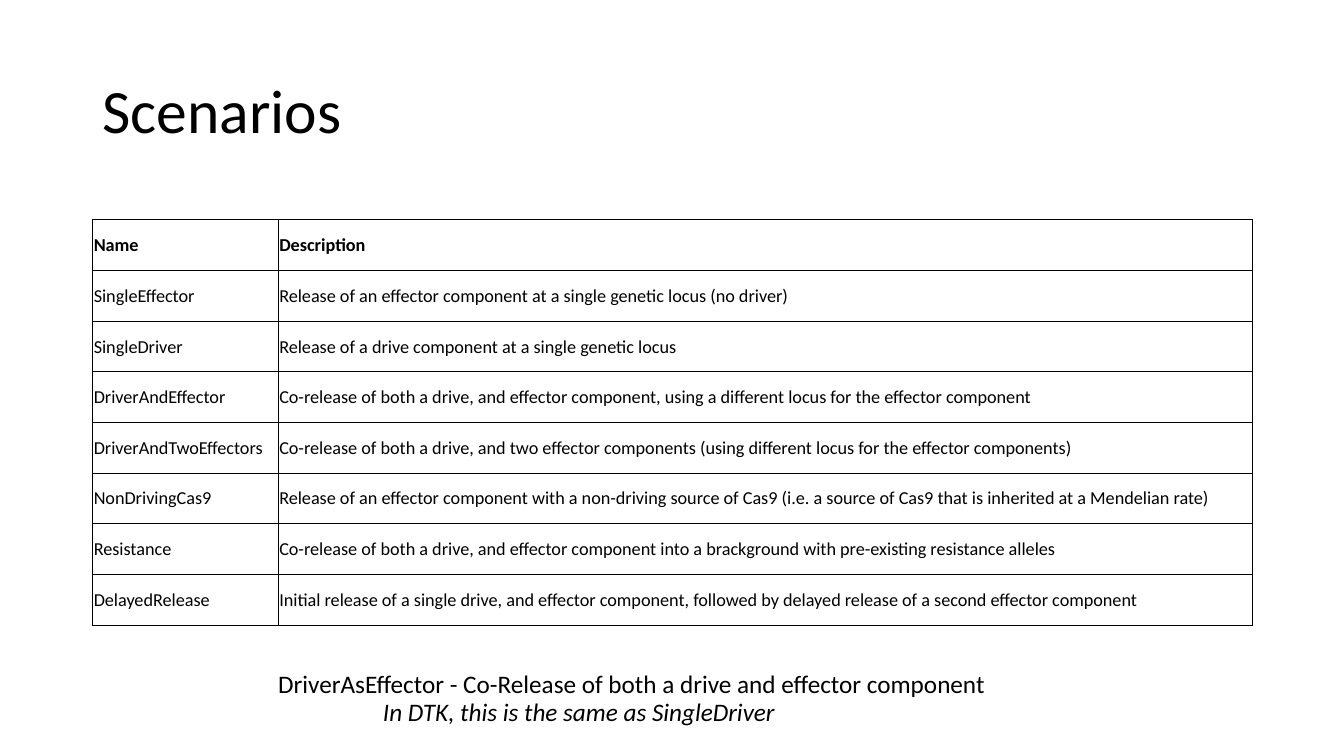
from lxml.etree import SubElement
from pptx import Presentation
from pptx.dml.color import RGBColor
from pptx.enum.text import MSO_ANCHOR, MSO_AUTO_SIZE
from pptx.oxml.ns import qn
from pptx.util import Inches, Pt

TITLE = "Scenarios"
SCENARIOS = [
    ("Name", "Description"),
    ("SingleEffector", "Release of an effector component at a single genetic locus (no driver)"),
    ("SingleDriver", "Release of a drive component at a single genetic locus"),
    ("DriverAndEffector", "Co-release of both a drive, and effector component, "
     "using a different locus for the effector component"),
    ("DriverAndTwoEffectors", "Co-release of both a drive, and two effector components "
     "(using different locus for the effector components)"),
    ("NonDrivingCas9", "Release of an effector component with a non-driving source of Cas9 "
     "(i.e. a source of Cas9 that is inherited at a Mendelian rate)"),
    ("Resistance", "Co-release of both a drive, and effector component "
     "into a brackground with pre-existing resistance alleles"),
    ("DelayedRelease", "Initial release of a single drive, and effector component, "
     "followed by delayed release of a second effector component"),
]
NOTES = [
    ("DriverAsEffector - Co-Release of both a drive and effector component", 2.66, 6.58, 7.25, False),
    ("In DTK, this is the same as SingleDriver", 3.7, 6.86, 4.15, True),
]

BLACK = RGBColor(0, 0, 0)
FONT = "Calibri"
SLIDE_WIDTH, SLIDE_HEIGHT = 13.33, 7.5
MARGIN = 0.92
CONTENT_WIDTH = 11.5
TABLE_TOP, TABLE_HEIGHT = 2.18, 4.02
NAME_SHARE = 0.16
CELL_INSET = Inches(0.01)


def add_run(paragraph, text, size, bold=False, italic=False):
    run = paragraph.add_run()
    run.text = text
    run.font.name = FONT
    run.font.size = Pt(size)
    run.font.bold = bold
    run.font.italic = italic
    run.font.color.rgb = BLACK


def add_text(slide, text, left, top, width, height, size, italic=False):
    box = slide.shapes.add_textbox(Inches(left), Inches(top), Inches(width), Inches(height))
    add_run(box.text_frame.paragraphs[0], text, size, italic=italic)
    return box.text_frame


def add_borders(cell):
    properties = cell._tc.get_or_add_tcPr()
    for side in ("a:lnL", "a:lnR", "a:lnT", "a:lnB"):
        line = SubElement(properties, qn(side), w=str(Pt(0.5)))
        fill = SubElement(line, qn("a:solidFill"))
        SubElement(fill, qn("a:srgbClr"), val=str(BLACK))


def add_scenario_table(slide):
    frame = slide.shapes.add_table(
        len(SCENARIOS), 2, Inches(MARGIN), Inches(TABLE_TOP),
        Inches(CONTENT_WIDTH), Inches(TABLE_HEIGHT))
    table = frame.table
    table.first_row = table.horz_banding = False
    for column, share in zip(table.columns, (NAME_SHARE, 1 - NAME_SHARE)):
        column.width = Inches(CONTENT_WIDTH * share)
    for row_index, texts in enumerate(SCENARIOS):
        for column_index, text in enumerate(texts):
            cell = table.cell(row_index, column_index)
            cell.margin_left = cell.margin_right = cell.margin_top = CELL_INSET
            cell.margin_bottom = 0
            cell.vertical_anchor = MSO_ANCHOR.MIDDLE
            add_borders(cell)
            cell.fill.background()
            add_run(cell.text_frame.paragraphs[0], text, 13, bold=row_index == 0)


def main():
    presentation = Presentation()
    presentation.slide_width = Inches(SLIDE_WIDTH)
    presentation.slide_height = Inches(SLIDE_HEIGHT)
    slide = presentation.slides.add_slide(presentation.slide_layouts[6])

    title = add_text(slide, TITLE, MARGIN, 0.4, CONTENT_WIDTH, 1.45, 44)
    title.word_wrap = True
    title.vertical_anchor = MSO_ANCHOR.MIDDLE
    title.paragraphs[0].line_spacing = 0.9

    add_scenario_table(slide)

    for text, left, top, width, italic in NOTES:
        note = add_text(slide, text, left, top, width, 0.4, 18, italic)
        note.word_wrap = False
        note.auto_size = MSO_AUTO_SIZE.SHAPE_TO_FIT_TEXT

    presentation.save("out.pptx")


if __name__ == "__main__":
    main()
